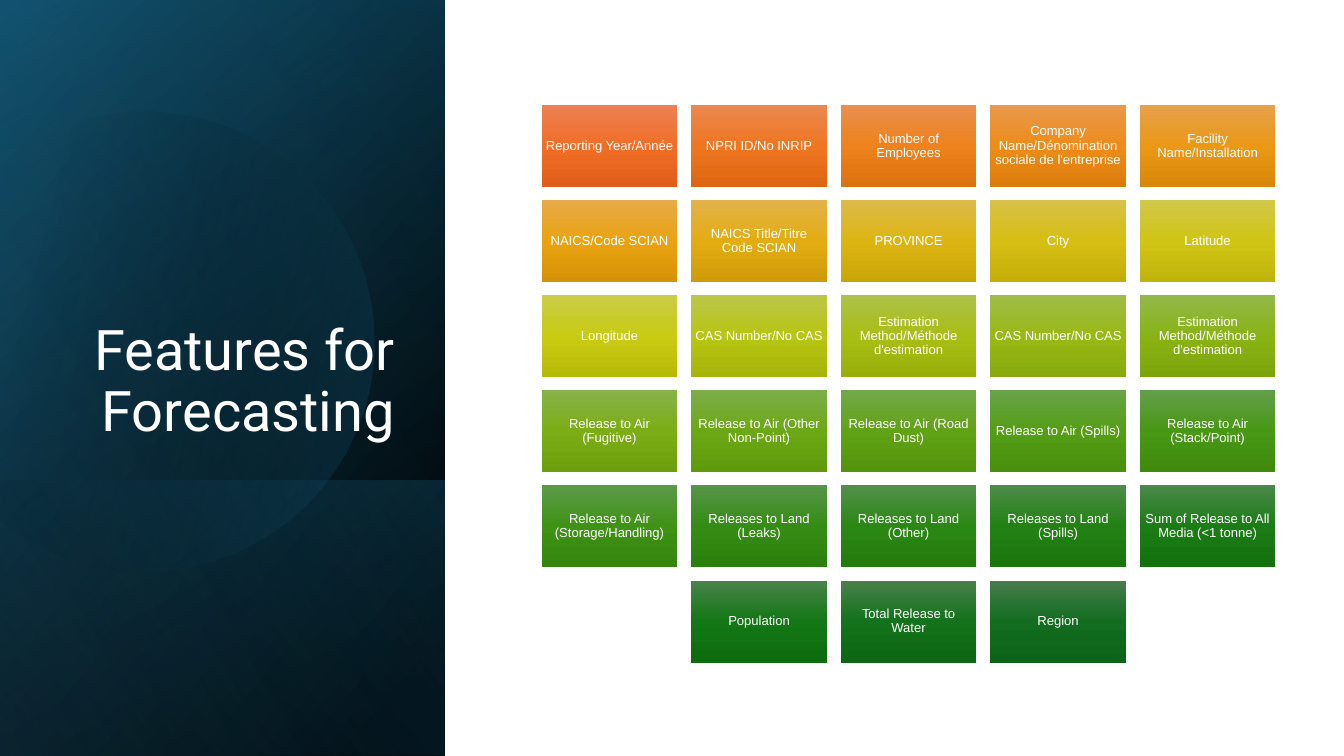
import math

import pptx
import pptx.dml.color
import pptx.enum.shapes
import pptx.enum.text
import pptx.oxml.ns
import pptx.util
from lxml import etree

Inches = pptx.util.Inches
Pt = pptx.util.Pt
RGBColor = pptx.dml.color.RGBColor
MSO_SHAPE = pptx.enum.shapes.MSO_SHAPE
PP_ALIGN = pptx.enum.text.PP_ALIGN
MSO_ANCHOR = pptx.enum.text.MSO_ANCHOR
qn = pptx.oxml.ns.qn

WHITE = RGBColor(0xFF, 0xFF, 0xFF)
BLACK = RGBColor(0x00, 0x00, 0x00)
NAVY = RGBColor(0x0F, 0x48, 0x61)
TEAL = RGBColor(0x15, 0x60, 0x82)
SKY = RGBColor(0x43, 0xAF, 0xE2)

SLIDE_W = 10
SLIDE_H = SLIDE_W * 9 / 16
PANEL_W, LOWER_H = 3.31, 2.05
TITLE = "Features for Forecasting"

FULL_PANEL = (0, 0, PANEL_W, SLIDE_H)
LOWER_PANEL = (0, SLIDE_H - LOWER_H, PANEL_W, LOWER_H)
BASE_LAYERS = [
    (FULL_PANEL, 50, [(0, BLACK, 100), (8, BLACK, 100), (100, NAVY, 100)]),
    (FULL_PANEL, 30, [(0, BLACK, 0), (99, TEAL, 46), (100, TEAL, 46)]),
    (LOWER_PANEL, 130, [(0, TEAL, 29), (2, TEAL, 29), (100, BLACK, 30)]),
]
TOP_LAYER = (FULL_PANEL, 120, [(0, BLACK, 0), (99, SKY, 11), (100, SKY, 11)])

DISC_STOPS = [(0, BLACK, 0), (29, BLACK, 0), (100, TEAL, 43)]
DISC_CENTER, DISC_TURN = (1.19, 2.51), 16.1
DISC_START = (1.11, 0.83)
DISC_ARCS = [
    ((1.84, 0.84), (2.51, 1.33), (2.72, 2.07)),
    ((2.98, 2.97), (2.46, 3.92), (1.55, 4.18)),
    ((0.98, 4.35), (0.4, 4.21), (-0.02, 3.85)),
    ((-0.05, 3.82), (-0.08, 3.8), (-0.11, 3.77)),
    ((-0.11, 2.95), (-0.11, 2.13), (-0.11, 1.31)),
    ((-0.07, 1.28), (-0.04, 1.24), (0, 1.21)),
    ((0.17, 1.07), (0.38, 0.96), (0.6, 0.89)),
    ((0.77, 0.85), (0.94, 0.82), (1.11, 0.83)),
]

FEATURES = [
    ("Reporting Year/Année", "EC8154 F16E27 DF5D18"),
    ("NPRI ID/No INRIP", "EA8851 EF7621 DE6612"),
    ("Number of Employees", "E98F4F EE821C DC720E"),
    ("Company Name/Dénomination sociale de l'entreprise", "E8984E ED8C19 DB7C0B"),
    ("Facility Name/Installation", "E6A14C EA9816 D98708"),
    ("NAICS/Code SCIAN", "E7AA4A E9A311 D69206"),
    ("NAICS Title/Titre Code SCIAN", "E2B24A E3AC12 D09B08"),
    ("PROVINCE", "DCBA4A DDB512 CAA508"),
    ("City", "D7C14A D6BE13 C4AE08"),
    ("Latitude", "D1C74A D0C514 BFB40A"),
    ("Longitude", "CACC4A C9CB13 B8BA09"),
    ("CAS Number/No CAS", "BBC64A B7C513 A7B40A"),
    ("Estimation Method/Méthode d'estimation", "ADC14A A7BE14 98AF0A"),
    ("CAS Number/No CAS", "A0BC4A 98B915 89A90C"),
    ("Estimation Method/Méthode d'estimation", "93B84A 89B315 7BA50B"),
    ("Release to Air (Fugitive)", "88B24A 7BAD15 6D9E0C"),
    ("Release to Air (Other Non-Point)", "7CAD4A 6CA815 5F9A0C"),
    ("Release to Air (Road Dust)", "73A84A 60A215 54940D"),
    ("Release to Air (Spills)", "6AA34A 549D15 4A8F0D"),
    ("Release to Air (Stack/Point)", "639E4A 489715 3F8A0D"),
    ("Release to Air (Storage/Handling)", "5C9A4A 3F9215 35850D"),
    ("Releases to Land (Leaks)", "57944A 358C14 2C7F0D"),
    ("Releases to Land (Other)", "52904A 2B8714 247B0D"),
    ("Releases to Land (Spills)", "4E8C4A 238114 1A750D"),
    ("Sum of Release to All Media (<1 tonne)", "4B884A 1B7C15 13710D"),
    ("Population", "49834A 137715 0D6C0E"),
    ("Total Release to Water", "497F4B 13721B 0D6713"),
    ("Region", "497B4D 126D20 0C6319"),
]
COLUMNS = 5
GRID_LEFT, GRID_TOP, GRID_RIGHT, GRID_BOTTOM = 4.03, 0.78, 9.49, 4.93
TILE_W, TILE_H = 1.01, 0.61


def paint(shape, angle, stops):
    shape.shadow.inherit = False
    shape.line.fill.background()
    shape.fill.gradient()
    shape.fill.gradient_angle = (360 - angle) % 360
    stop_list = shape._element.spPr.find(qn("a:gradFill")).find(qn("a:gsLst"))
    for default_stop in list(stop_list):
        stop_list.remove(default_stop)
    for position, color, opacity in stops:
        stop = etree.SubElement(stop_list, qn("a:gs"), pos=str(position * 1000))
        tone = etree.SubElement(stop, qn("a:srgbClr"), val=str(color))
        if opacity < 100:
            etree.SubElement(tone, qn("a:alpha"), val=str(opacity * 1000))


def add_layer(slide, area, angle, stops):
    left, top, width, height = area
    shift = (width - height) / 2
    layer = slide.shapes.add_shape(
        MSO_SHAPE.RECTANGLE, Inches(left + shift), Inches(top - shift),
        Inches(height), Inches(width))
    layer.rotation = 90
    layer._element.spPr.find(qn("a:xfrm")).set("flipH", "1")
    paint(layer, angle, stops)


def turn(point):
    angle = math.radians(DISC_TURN)
    dx, dy = point[0] - DISC_CENTER[0], point[1] - DISC_CENTER[1]
    return (Inches(DISC_CENTER[0] + dx * math.cos(angle) - dy * math.sin(angle)),
            Inches(DISC_CENTER[1] + dx * math.sin(angle) + dy * math.cos(angle)))


def add_disc(slide, steps=16):
    outline, start = [], DISC_START
    for first, second, end in DISC_ARCS:
        for step in range(1, steps + 1):
            t = step / steps
            outline.append(tuple(
                (1 - t) ** 3 * a + 3 * (1 - t) ** 2 * t * b
                + 3 * (1 - t) * t ** 2 * c + t ** 3 * d
                for a, b, c, d in zip(start, first, second, end)))
        start = end
    builder = slide.shapes.build_freeform(*turn(DISC_START))
    builder.add_line_segments([turn(point) for point in outline], close=True)
    disc = builder.convert_to_shape()
    disc.rotation = 360 - DISC_TURN
    paint(disc, 30, DISC_STOPS)


def write(frame, text, font_name, size, align, anchor):
    frame.text = text
    frame.word_wrap = True
    frame.vertical_anchor = anchor
    paragraph = frame.paragraphs[0]
    paragraph.alignment = align
    paragraph.line_spacing = 0.9
    paragraph.font.name = font_name
    paragraph.font.size = Pt(size)
    paragraph.font.color.rgb = WHITE


def add_features(slide):
    rows = math.ceil(len(FEATURES) / COLUMNS)
    pitch_x = (GRID_RIGHT - GRID_LEFT - TILE_W) / (COLUMNS - 1)
    pitch_y = (GRID_BOTTOM - GRID_TOP - TILE_H) / (rows - 1)
    for index, (label, shades) in enumerate(FEATURES):
        row, column = divmod(index, COLUMNS)
        in_row = min(COLUMNS, len(FEATURES) - row * COLUMNS)
        column += (COLUMNS - in_row) / 2
        tile = slide.shapes.add_shape(
            MSO_SHAPE.RECTANGLE, Inches(GRID_LEFT + column * pitch_x),
            Inches(GRID_TOP + row * pitch_y), Inches(TILE_W), Inches(TILE_H))
        colors = [RGBColor.from_string(shade) for shade in shades.split()]
        paint(tile, 90, [(at, color, 100) for at, color in zip((0, 50, 100), colors)])
        frame = tile.text_frame
        frame.margin_left = frame.margin_right = Inches(0.03)
        frame.margin_top = frame.margin_bottom = Inches(0.03)
        write(frame, label, "Arial", 7, PP_ALIGN.CENTER, MSO_ANCHOR.MIDDLE)


def main():
    deck = pptx.Presentation()
    deck.slide_width, deck.slide_height = Inches(SLIDE_W), Inches(SLIDE_H)
    slide = deck.slides.add_slide(deck.slide_layouts[5])
    for layer in BASE_LAYERS:
        add_layer(slide, *layer)
    add_disc(slide)
    add_layer(slide, *TOP_LAYER)

    title = slide.shapes.title
    slide.shapes._spTree.append(title._element)
    title.left, title.top = Inches(0.48), Inches(1.38)
    title.width, title.height = Inches(2.56), Inches(1.97)
    write(title.text_frame, TITLE, "Roboto", 30, PP_ALIGN.RIGHT, MSO_ANCHOR.BOTTOM)
    title.text_frame.auto_size = pptx.enum.text.MSO_AUTO_SIZE.NONE

    add_features(slide)
    deck.save("out.pptx")


if __name__ == "__main__":
    main()
